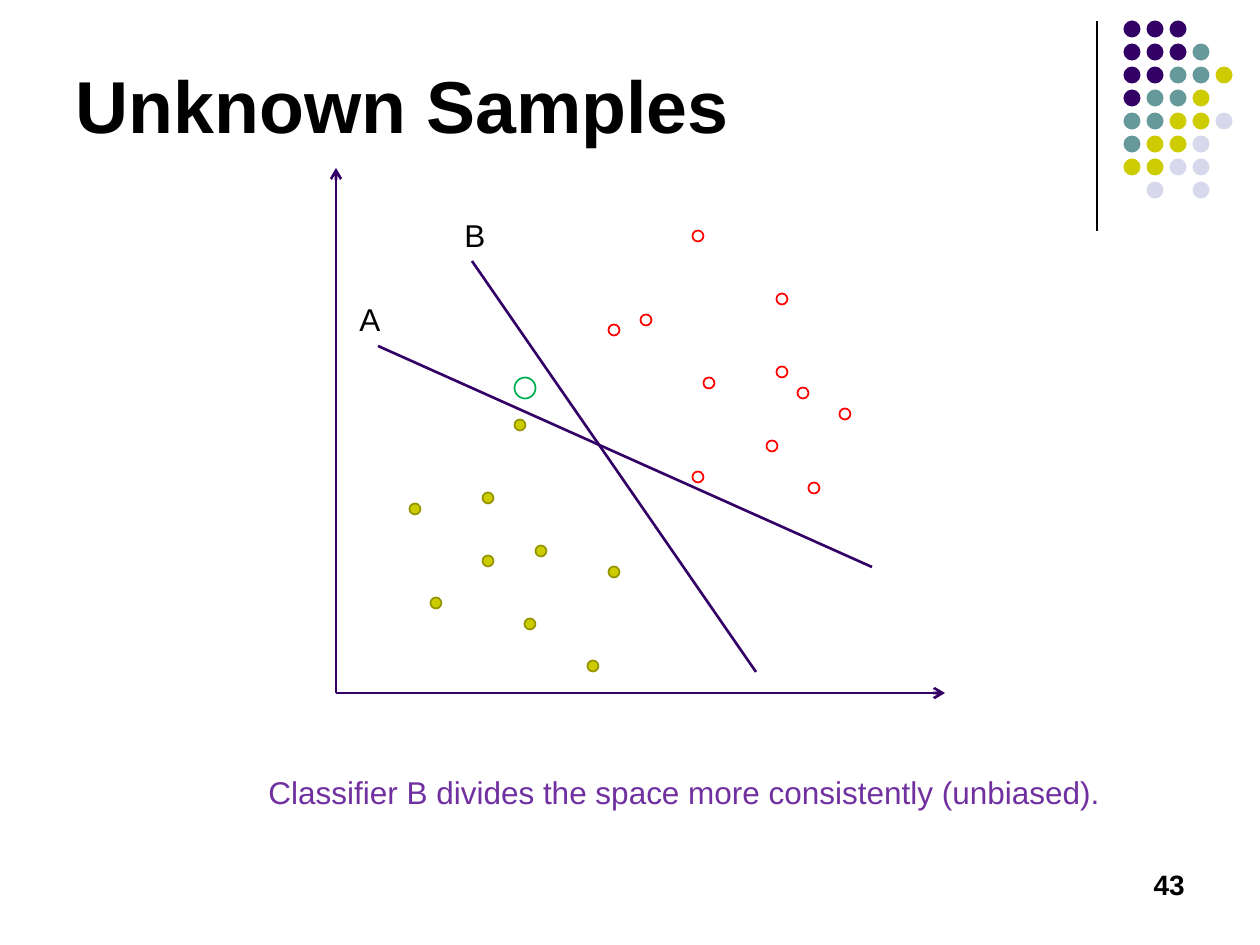
from lxml.etree import SubElement as sub
from pptx import Presentation
from pptx.dml.color import RGBColor
from pptx.enum.shapes import MSO_CONNECTOR as LINK, MSO_SHAPE as SHAPE
from pptx.enum.text import MSO_ANCHOR as ANCHOR, MSO_AUTO_SIZE as AUTO, PP_ALIGN as ALIGN
from pptx.oxml.ns import qn
from pptx.util import Emu, Pt

SCALE = 914400 / 126
INK, TEAL, LIME, PALE = "330066", "669999", "CCCC00", "D8D8EC"
TINTS = {"I": INK, "T": TEAL, "L": LIME, "P": PALE}
CORNER = ["III", "IIIT", "IITTL", "ITTL", "TTLLP", "TLLP", "LLPP", " P P"]
LOW = [(415, 509), (488, 498), (488, 561), (614, 572), (541, 551),
       (530, 624), (520, 425), (593, 666), (436, 603)]
HIGH = [(646, 320), (782, 372), (698, 236), (709, 383), (698, 477), (614, 330),
        (772, 446), (782, 299), (814, 488), (845, 414), (803, 393)]


def px(num):
    """Turn pixels into EMU."""
    return Emu(round(num * SCALE))


def rgb(code):
    """Turn a hex string into a colour."""
    return RGBColor.from_string(code)


def dot(slide, mid, size, fill=None, edge=None):
    """Draw a circle around a centre point."""
    x, y = mid
    shape = slide.shapes.add_shape(
        SHAPE.OVAL, px(x - size / 2), px(y - size / 2), px(size), px(size))
    shape.shadow.inherit = False
    if fill:
        shape.fill.solid()
        shape.fill.fore_color.rgb = rgb(fill)
    else:
        shape.fill.background()
    if edge:
        shape.line.color.rgb = rgb(edge)
        shape.line.width = Pt(1)
    else:
        shape.line.fill.background()


def line(slide, start, end, color=INK, width=1.5, arrow=False):
    """Draw a straight line, with an arrowhead at its end if asked."""
    link = slide.shapes.add_connector(LINK.STRAIGHT, *map(px, start + end))
    link.line.color.rgb = rgb(color)
    link.line.width = Pt(width)
    if arrow:
        sub(link.line._get_or_add_ln(), qn("a:tailEnd"), type="arrow")
    sub(link._element.spPr, qn("a:effectLst"))


def write(shape, text, size, color="000000", bold=False, align=ALIGN.LEFT,
          anchor=ANCHOR.TOP, wrap=False):
    """Fill a shape with one formatted paragraph."""
    frame = shape.text_frame
    frame.text = text
    form = {"auto_size": AUTO.NONE if wrap else AUTO.SHAPE_TO_FIT_TEXT,
            "word_wrap": wrap, "vertical_anchor": anchor}
    for key, val in form.items():
        setattr(frame, key, val)
    para = frame.paragraphs[0]
    para.alignment = align
    for key, val in {"name": "Arial", "size": Pt(size), "bold": bold}.items():
        setattr(para.font, key, val)
    para.font.color.rgb = rgb(color)


def label(slide, box, text, size, **form):
    """Add a text box."""
    write(slide.shapes.add_textbox(*map(px, box)), text, size, **form)


def title(slide, box, text):
    """Place and fill the title."""
    shape = slide.shapes.title
    for key, val in zip(("left", "top", "width", "height"), box):
        setattr(shape, key, px(val))
    write(shape, text, 42, bold=True, anchor=ANCHOR.BOTTOM, wrap=True)


def corner(slide):
    """Draw the rule and the dot grid at the top right."""
    line(slide, (1097, 21), (1097, 231), "000000", 0.75)
    for row, marks in enumerate(CORNER):
        for col, mark in enumerate(marks):
            if mark in TINTS:
                dot(slide, (1132 + 23 * col, 29 + 23 * row), 17, TINTS[mark])


def plot(slide):
    """Draw the axes, the samples and the two classifiers."""
    line(slide, (336, 693), (945, 693), arrow=True)
    line(slide, (336, 693), (336, 168), arrow=True)
    for mid in LOW:
        dot(slide, mid, 11, LIME, "959500")
    for mid in HIGH:
        dot(slide, mid, 11, edge="FF0000")
    line(slide, (378, 346), (872, 567))
    line(slide, (472, 261), (756, 672))
    label(slide, (347, 294, 45, 50), "A", 18)
    dot(slide, (525, 388), 21, edge="00B050")
    label(slide, (452, 210, 45, 50), "B", 18)


def main():
    """Build the slide and save it."""
    deck = Presentation()
    deck.slide_width, deck.slide_height = px(1260), px(945)
    slide = deck.slides.add_slide(deck.slide_layouts[5])
    corner(slide)
    title(slide, (63, 16, 1040, 139), "Unknown Samples")
    label(slide, (903, 861, 294, 63), "43", 16, bold=True,
          align=ALIGN.RIGHT, wrap=True)
    plot(slide)
    label(slide, (256, 767, 857, 50),
          "Classifier B divides the space more consistently (unbiased).",
          18, color="7030A0")
    deck.save("out.pptx")


if __name__ == "__main__":
    main()
